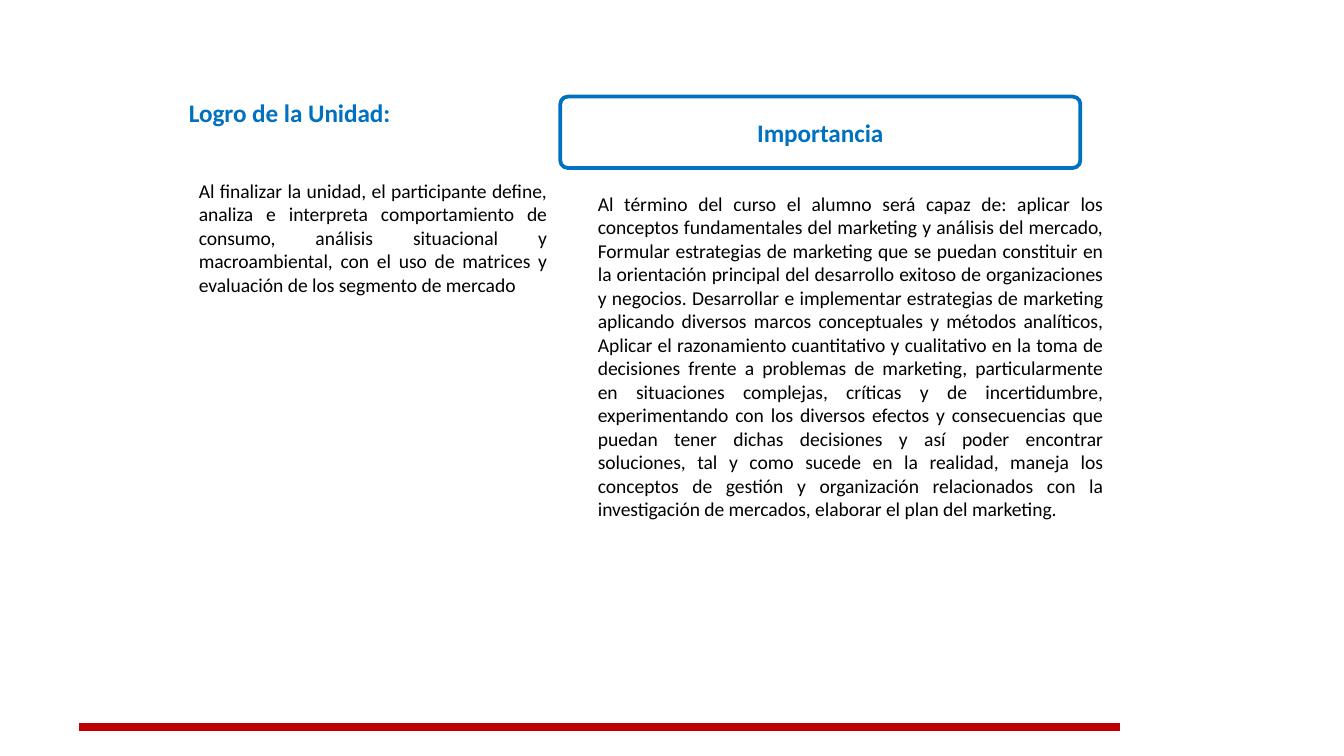
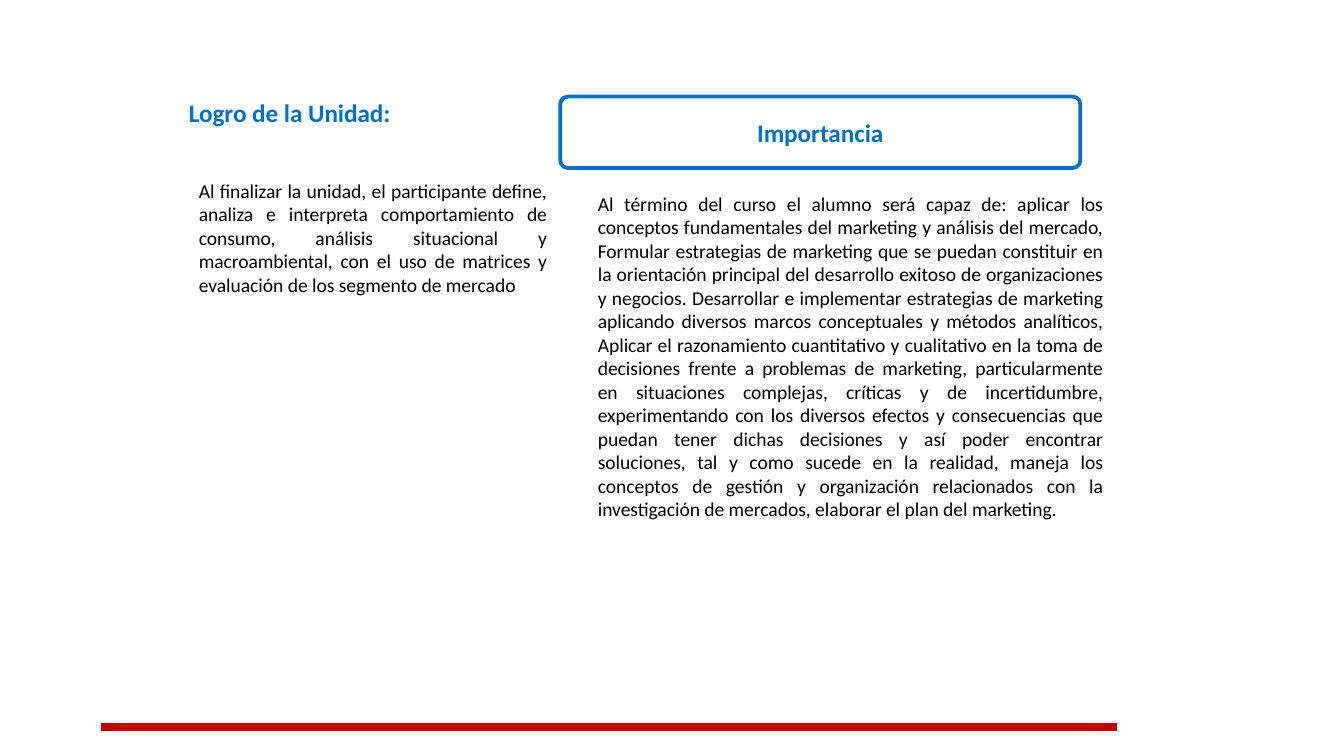
from dataclasses import dataclass

from lxml.etree import SubElement
from pptx import Presentation
from pptx.dml.color import RGBColor
from pptx.enum.shapes import MSO_CONNECTOR, MSO_SHAPE
from pptx.enum.text import MSO_ANCHOR, PP_ALIGN
from pptx.oxml.ns import qn
from pptx.slide import Slide
from pptx.util import Pt

FONT = "Calibri"
BLUE, RED, BLACK, WHITE = "0070C0", "C00000", "000000", "FFFFFF"
HEADING_SIZE, BODY_SIZE = 13.5, 10.5
RULE_TOP = 389.5

ACHIEVEMENT = (
    "Al finalizar la unidad, el participante define, analiza e interpreta "
    "comportamiento de consumo, análisis situacional y macroambiental, con el uso "
    "de matrices y evaluación de los segmento de mercado"
)
IMPORTANCE = " ".join((
    "Al término del curso el alumno será capaz de: aplicar los conceptos "
    "fundamentales del marketing y análisis del mercado,",
    "Formular estrategias de marketing que se puedan constituir en la orientación "
    "principal del desarrollo exitoso de organizaciones y negocios.",
    "Desarrollar e implementar estrategias de marketing aplicando diversos marcos "
    "conceptuales y métodos analíticos,",
    "Aplicar el razonamiento cuantitativo y cualitativo en la toma de decisiones "
    "frente a problemas de marketing, particularmente en situaciones complejas, "
    "críticas y de incertidumbre,",
    "experimentando con los diversos efectos y consecuencias que puedan tener dichas "
    "decisiones y así poder encontrar soluciones, tal y como sucede en la realidad,",
    "maneja los conceptos de gestión y organización relacionados con la "
    "investigación de mercados, elaborar el plan del marketing.",
))


@dataclass(frozen=True)
class Panel:
    text: str
    left: float
    top: float
    width: float
    height: float
    heading: bool = False
    align: PP_ALIGN = PP_ALIGN.JUSTIFY
    anchor: MSO_ANCHOR = MSO_ANCHOR.MIDDLE
    fill: str | None = WHITE
    line: str | None = None
    corner: float | None = None
    inset: float = 7.2
    indent: float = 0
    space_before: float = 0


@dataclass(frozen=True)
class Rule:
    start: float
    end: float


PANELS = (
    Panel(ACHIEVEMENT, 99.4, 92.2, 200.9, 131.8, anchor=MSO_ANCHOR.TOP),
    Panel("Logro de la Unidad:", 90, 12.2, 181.4, 59, heading=True,
          align=PP_ALIGN.LEFT, anchor=MSO_ANCHOR.BOTTOM,
          inset=5.4, indent=5.8, space_before=2.7),
    Panel("Importancia", 300.2, 51.8, 278.6, 38.2, heading=True,
          align=PP_ALIGN.CENTER, fill=None, line=BLUE, corner=0.105),
    Panel(IMPORTANCE, 313.2, 98.6, 285.1, 184.3, line=WHITE),
)
FOOTER_RULES = (Rule(42.5, 599.8), Rule(54, 598.3))


def color(value: str) -> RGBColor:
    return RGBColor.from_string(value)


def add_panel(page: Slide, panel: Panel) -> None:
    kind = MSO_SHAPE.RECTANGLE if panel.corner is None else MSO_SHAPE.ROUNDED_RECTANGLE
    box = page.shapes.add_shape(
        kind, Pt(panel.left), Pt(panel.top), Pt(panel.width), Pt(panel.height))
    box.shadow.inherit = False
    if panel.corner is not None:
        box.adjustments[0] = panel.corner
    if panel.fill:
        box.fill.solid()
        box.fill.fore_color.rgb = color(panel.fill)
    else:
        box.fill.background()
    if panel.line:
        box.line.color.rgb = color(panel.line)
        box.line.width = Pt(2)
    else:
        box.line.fill.background()

    frame = box.text_frame
    frame.word_wrap = True
    frame.vertical_anchor = panel.anchor
    frame.margin_left = frame.margin_right = Pt(panel.inset)
    frame.margin_top = frame.margin_bottom = Pt(panel.inset / 2)
    para = frame.paragraphs[0]
    para.text = panel.text
    para.alignment = panel.align
    if panel.space_before:
        para.space_before = Pt(panel.space_before)
    if panel.indent:
        para._p.get_or_add_pPr().set("marL", str(Pt(panel.indent)))
    para.font.name = FONT
    para.font.size = Pt(HEADING_SIZE if panel.heading else BODY_SIZE)
    para.font.bold = panel.heading
    para.font.color.rgb = color(BLUE if panel.heading else BLACK)


def add_footer_rule(page: Slide, rule: Rule) -> None:
    line = page.shapes.add_connector(
        MSO_CONNECTOR.STRAIGHT, Pt(rule.start), Pt(RULE_TOP), Pt(rule.end), Pt(RULE_TOP))
    line.line.color.rgb = color(RED)
    line.line.width = Pt(4.5)
    SubElement(line._element.spPr, qn("a:effectLst"))


def main() -> None:
    deck = Presentation()
    deck.slide_width, deck.slide_height = Pt(720), Pt(405)
    for rule in FOOTER_RULES:
        page = deck.slides.add_slide(deck.slide_layouts[6])
        for panel in PANELS:
            add_panel(page, panel)
        add_footer_rule(page, rule)
    deck.save("out.pptx")


if __name__ == "__main__":
    main()
